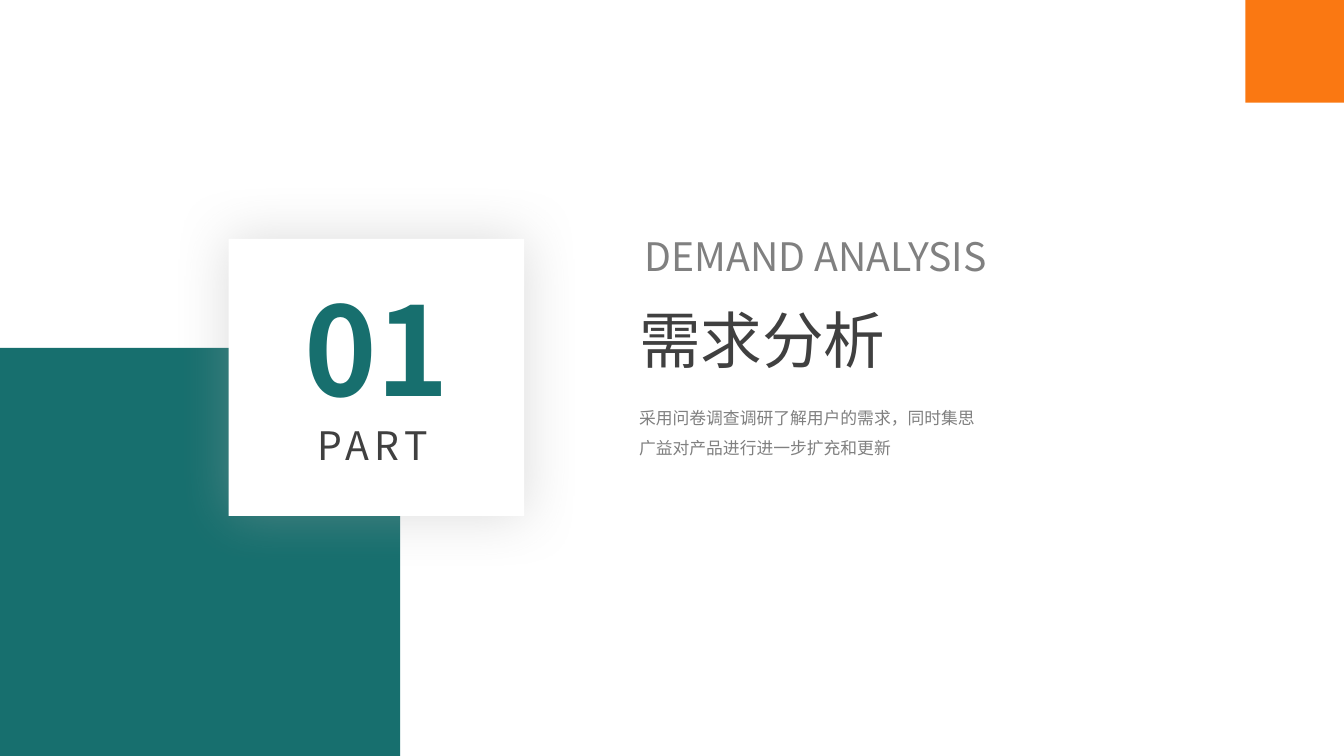
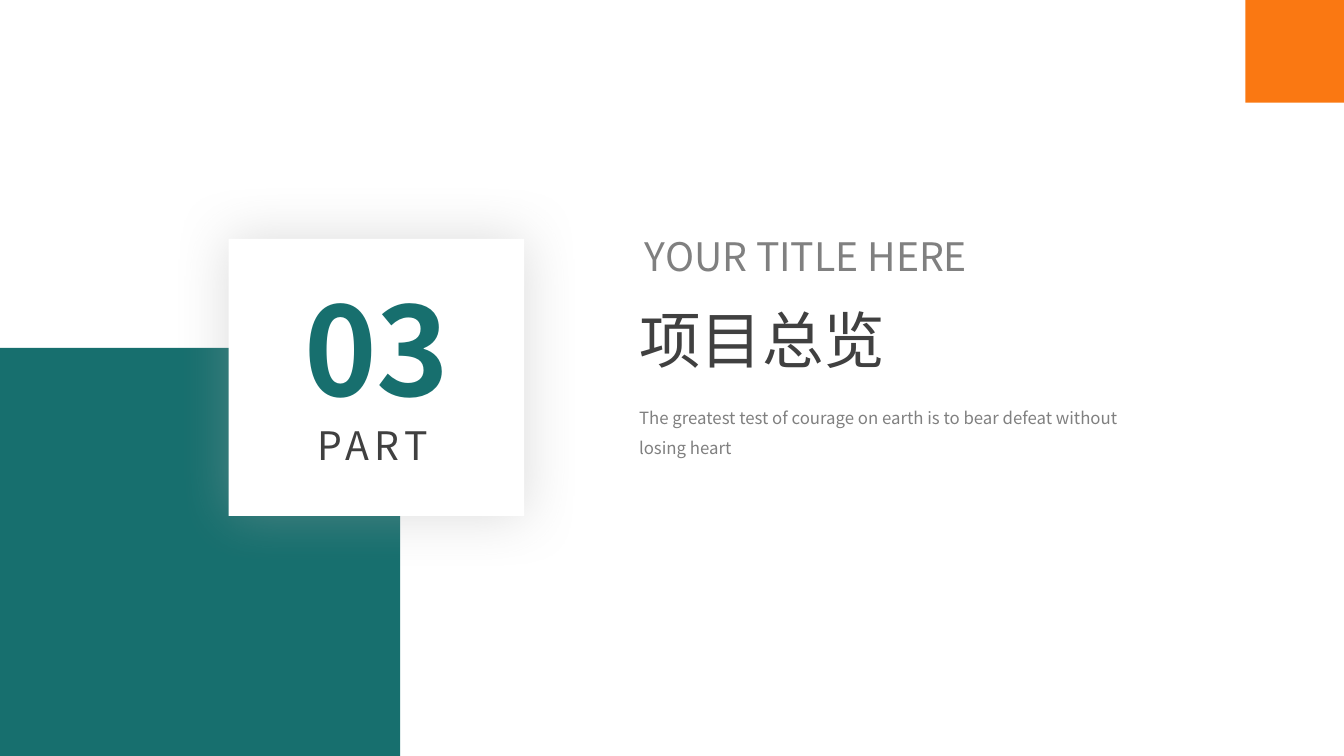
from dataclasses import dataclass

from lxml import etree
from pptx import Presentation
from pptx.dml.color import RGBColor
from pptx.enum.shapes import MSO_SHAPE
from pptx.enum.text import MSO_ANCHOR, MSO_AUTO_SIZE, PP_ALIGN
from pptx.oxml.ns import qn
from pptx.util import Pt

RECTANGLE = MSO_SHAPE.RECTANGLE
TOP = MSO_ANCHOR.TOP
GROW = MSO_AUTO_SIZE.SHAPE_TO_FIT_TEXT
LEFT = PP_ALIGN.LEFT
JUSTIFY = PP_ALIGN.JUSTIFY

SECTIONS = [
    {
        "number": "01",
        "english": "DEMAND ANALYSIS",
        "title": "需求分析",
        "summary": "采用问卷调查调研了解用户的需求，同时集思广益对产品进行进一步扩充和更新",
        "english_width": 357.1,
        "summary_width": 266.4,
    },
    {
        "number": "03",
        "english": "YOUR TITLE HERE",
        "title": "项目总览",
        "summary": "The greatest test of courage on earth is to bear defeat without losing heart",
        "english_width": 264.2,
        "summary_width": 385.2,
    },
]
PART_LABEL = "PART"


@dataclass(frozen=True)
class Theme:
    """Colours, fonts and type sizes of the section slides."""

    teal: str = "176F6E"
    orange: str = "FA7812"
    white: str = "FFFFFF"
    dark: str = "404040"
    grey: str = "808080"
    shadow: str = "A6A6A6"
    font: str = "Noto Sans CJK SC"
    title_font: str = "Noto Sans CJK JP"
    number_size: int = 88
    title_size: int = 44
    label_size: int = 28
    summary_size: int = 12


THEME = Theme()
WIDTH, HEIGHT = 960, 540
TEAL_TOP, TEAL_WIDTH = 248.4, 285.8
CARD = (163.4, 170.6, 211, 198)
CORNER_WIDTH, CORNER_HEIGHT = 70.4, 73.4
NUMBER_BOX = (210.2, 191.5, 119.5, 113.8)
PART_BOX = (219.6, 297.4, 107.3, 41)
TEXT_LEFT = 449.3
ENGLISH_LEFT = 453.6


def place(shape, box):
    """Move and size a shape in points."""
    shape.left, shape.top, shape.width, shape.height = map(Pt, box)


def write_text(shape, text, *, box, size, color, font=THEME.font, bold=False,
               align=LEFT, wrap=True, line_spacing=None, tracking=0):
    """Place a text shape and fill it with one formatted paragraph."""
    place(shape, box)
    frame = shape.text_frame
    frame.word_wrap = wrap
    frame.auto_size = GROW
    frame.vertical_anchor = TOP
    paragraph = frame.paragraphs[0]
    paragraph.alignment = align
    paragraph.space_before = Pt(0)
    paragraph.line_spacing = line_spacing
    run = paragraph.add_run()
    run.text = text
    run.font.name = font
    run.font.size = Pt(size)
    run.font.bold = bold
    run.font.color.rgb = RGBColor.from_string(color)
    properties = run.font._element if hasattr(run.font, "_element") else run._r.get_or_add_rPr()
    etree.SubElement(properties, qn("a:ea"), typeface=font)
    if tracking:
        properties.set("spc", str(tracking * 100))


def add_text(slide, text, **text_format):
    """Add a text box with formatted text."""
    shape = slide.shapes.add_textbox(0, 0, 0, 0)
    write_text(shape, text, **text_format)
    return shape


def add_block(slide, box, color):
    """Add a plain filled rectangle."""
    shape = slide.shapes.add_shape(RECTANGLE, *map(Pt, box))
    shape.shadow.inherit = False
    shape.fill.solid()
    shape.fill.fore_color.rgb = RGBColor.from_string(color)
    shape.line.fill.background()
    return shape


def add_glow(shape, color, blur, opacity):
    """Give a shape a soft shadow on all sides."""
    effects = shape.element.spPr.find(qn("a:effectLst"))
    shadow = etree.SubElement(effects, qn("a:outerShdw"), blurRad=str(Pt(blur)),
                              dist="0", dir="0", algn="ctr", rotWithShape="0")
    shade = etree.SubElement(shadow, qn("a:srgbClr"), val=color)
    etree.SubElement(shade, qn("a:alpha"), val=str(opacity * 1000))


def decorate_layout(layout, slide):
    """Draw the shared parts and move them to the layout."""
    teal_block = add_block(
        slide, (0, TEAL_TOP, TEAL_WIDTH, HEIGHT - TEAL_TOP), THEME.teal)
    card = add_block(slide, CARD, THEME.white)
    add_glow(card, THEME.shadow, blur=40, opacity=40)
    corner = add_block(
        slide, (WIDTH - CORNER_WIDTH, 0, CORNER_WIDTH, CORNER_HEIGHT), THEME.orange)
    part = add_text(slide, PART_LABEL, box=PART_BOX, size=THEME.label_size,
                    color=THEME.dark, align=JUSTIFY, tracking=4)
    for shape in (teal_block, card, corner, part):
        layout.shapes.element.append(shape.element)


def fill_section(slide, section):
    """Write the number, headings and summary of one section."""
    title, summary = slide.placeholders
    add_text(slide, section["number"], box=NUMBER_BOX, size=THEME.number_size,
             color=THEME.teal, bold=True, wrap=False)
    write_text(title, section["title"], box=(TEXT_LEFT, 212.4, 361.4, 60.5),
               size=THEME.title_size, color=THEME.dark, font=THEME.title_font)
    add_text(slide, section["english"],
             box=(ENGLISH_LEFT, 162.7, section["english_width"], 42.5),
             size=THEME.label_size, color=THEME.grey, align=JUSTIFY)
    write_text(summary, section["summary"],
               box=(TEXT_LEFT, 280.1, section["summary_width"], 50.4),
               size=THEME.summary_size, color=THEME.grey, line_spacing=1.5)


def main():
    """Build and save the section slides."""
    presentation = Presentation()
    presentation.slide_width, presentation.slide_height = Pt(WIDTH), Pt(HEIGHT)
    layout = presentation.slide_layouts.get_by_name("Section Header")
    slides = [presentation.slides.add_slide(layout) for _ in SECTIONS]
    decorate_layout(layout, slides[0])
    for slide, section in zip(slides, SECTIONS):
        fill_section(slide, section)
    presentation.save("out.pptx")


if __name__ == "__main__":
    main()
